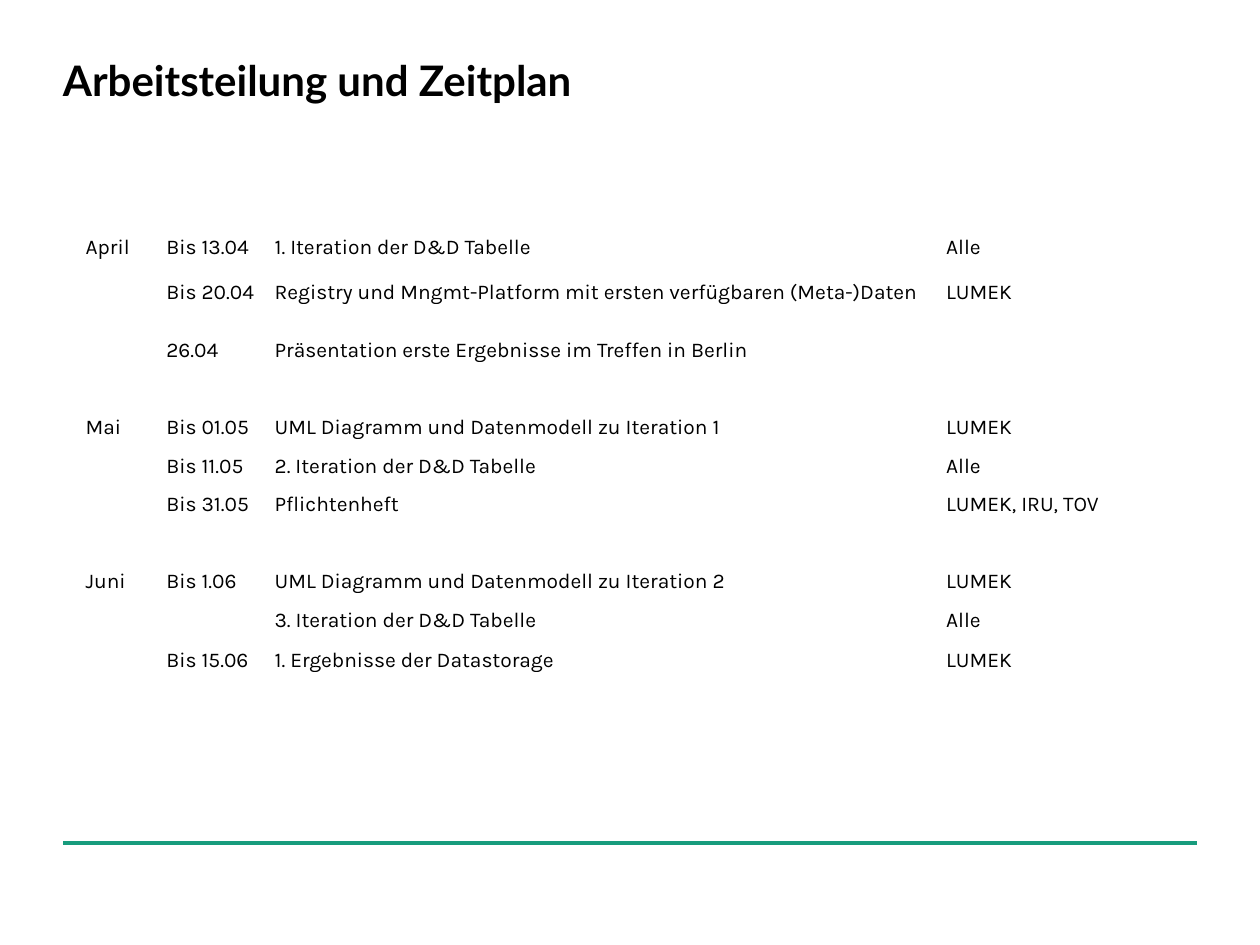
from typing import NamedTuple

from lxml.etree import SubElement
from pptx import Presentation
from pptx.dml.color import RGBColor
from pptx.enum.shapes import MSO_CONNECTOR as Connector
from pptx.enum.text import MSO_ANCHOR as Anchor
from pptx.oxml.ns import qn
from pptx.util import Inches, Pt

WIDTH, HEIGHT = 10, 7.5
MARGIN = 0.05 * WIDTH
BLACK, WHITE, GREEN = "000000", "FFFFFF", "179C7D"
COLUMN_WIDTHS = (0.64, 0.86, 5.33, 1.33)


class Task(NamedTuple):
    height: float
    month: str = ""
    deadline: str = ""
    work: str = ""
    partner: str = ""


SCHEDULE = [
    Task(0.31, "April", "Bis 13.04", "1. Iteration der D&D Tabelle", "Alle"),
    Task(0.36, "", "Bis 20.04",
         "Registry und Mngmt-Platform mit ersten verfügbaren (Meta-)Daten", "LUMEK"),
    Task(0.13),
    Task(0.25, "", "26.04", "Präsentation erste Ergebnisse im Treffen in Berlin"),
    Task(0.61, "Mai", "Bis 01.05", "UML Diagramm und Datenmodell zu Iteration 1", "LUMEK"),
    Task(0.31, "", "Bis 11.05", "2. Iteration der D&D Tabelle", "Alle"),
    Task(0.3, "", "Bis 31.05", "Pflichtenheft", "LUMEK, IRU, TOV"),
    Task(0.61, "Juni", "Bis 1.06", "UML Diagramm und Datenmodell zu Iteration 2", "LUMEK"),
    Task(0.31, "", "", "3. Iteration der D&D Tabelle", "Alle"),
    Task(0.32, "", "Bis 15.06", "1. Ergebnisse der Datastorage", "LUMEK"),
]


def rgb(value: str) -> RGBColor:
    return RGBColor.from_string(value)


def style_text(paragraph, face: str, size: float, bold: bool = False) -> None:
    for run in paragraph.runs:
        run.font.name, run.font.size, run.font.bold = face, Pt(size), bold
        run.font.color.rgb = rgb(BLACK)


def add_title(slide, title: str) -> None:
    box = slide.shapes.add_textbox(Inches(MARGIN), Inches(0.43),
                                   Inches(WIDTH - 2 * MARGIN), Inches(1))
    frame = box.text_frame
    frame.word_wrap = True
    frame.margin_left = frame.margin_right = frame.margin_top = frame.margin_bottom = 0
    frame.text = title
    style_text(frame.paragraphs[0], "Lato", 24, bold=True)


def add_footer_rule(slide) -> None:
    y = Inches(6.69)
    rule = slide.shapes.add_connector(Connector.STRAIGHT, Inches(MARGIN), y,
                                      Inches(WIDTH - MARGIN), y)
    rule.line.color.rgb = rgb(GREEN)
    rule.line.width = Pt(2.5)
    SubElement(rule._element.spPr, qn("a:effectLst"))


def set_borders(cell, color: str, width: float) -> None:
    properties = cell._tc.get_or_add_tcPr()
    for position, side in enumerate(("lnL", "lnR", "lnT", "lnB")):
        border = SubElement(properties, qn(f"a:{side}"), w=str(Pt(width)))
        SubElement(SubElement(border, qn("a:solidFill")), qn("a:srgbClr"), val=color)
        properties.insert(position, border)  # borders come before the fill


def fill_cell(cell, text: str) -> None:
    cell.fill.background()
    set_borders(cell, WHITE, 1)
    cell.vertical_anchor = Anchor.BOTTOM
    cell.margin_left = cell.margin_right = cell.margin_top = Inches(0.01)
    cell.margin_bottom = 0
    paragraph = cell.text_frame.paragraphs[0]
    if text:
        paragraph.text = text
        style_text(paragraph, "Karla", 12)
    else:  # an empty cell keeps the line height of the others
        ending = SubElement(paragraph._p, qn("a:endParaRPr"), sz="1200")
        SubElement(ending, qn("a:latin"), typeface="Karla")


def add_schedule(slide, tasks: list[Task]) -> None:
    frame = slide.shapes.add_table(
        len(tasks), len(COLUMN_WIDTHS), Inches(0.67), Inches(1.75),
        Inches(sum(COLUMN_WIDTHS)), Inches(sum(task.height for task in tasks)))
    table = frame.table
    table.first_row = table.horz_banding = False
    for column, width in zip(table.columns, COLUMN_WIDTHS):
        column.width = Inches(width)
    for row, task in zip(table.rows, tasks):
        row.height = Inches(task.height)
        for cell, text in zip(row.cells, task[1:]):
            fill_cell(cell, text)


def main() -> None:
    deck = Presentation()
    deck.slide_width, deck.slide_height = Inches(WIDTH), Inches(HEIGHT)
    slide = deck.slides.add_slide(deck.slide_layouts[6])
    slide.background.fill.solid()
    slide.background.fill.fore_color.rgb = rgb(WHITE)

    add_footer_rule(slide)
    add_title(slide, "Arbeitsteilung und Zeitplan")
    add_schedule(slide, SCHEDULE)
    deck.save("out.pptx")


if __name__ == "__main__":
    main()
